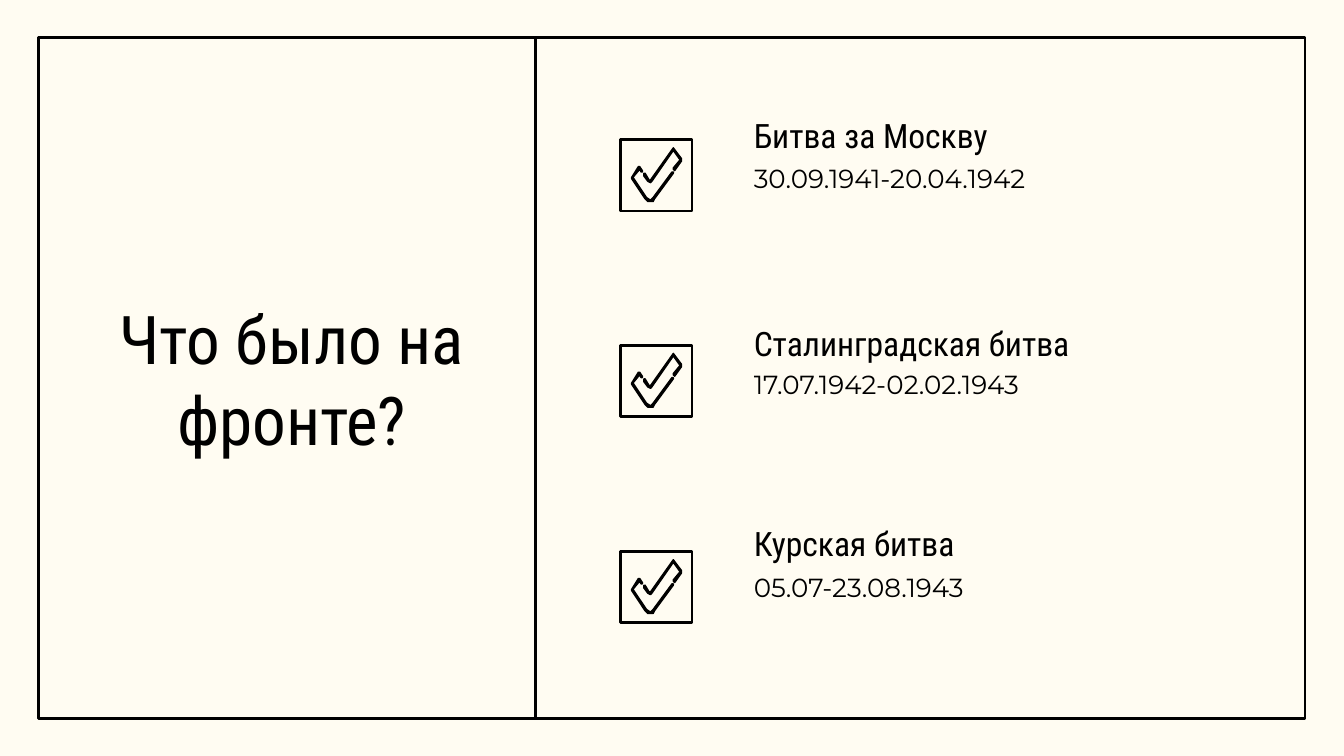
"""Builds a slide that lists three battles beside check boxes."""
from lxml import etree
from pptx import Presentation
from pptx.dml.color import RGBColor
from pptx.enum.shapes import MSO_CONNECTOR, MSO_SHAPE
from pptx.enum.text import MSO_ANCHOR, PP_ALIGN
from pptx.oxml.ns import qn
from pptx.util import Pt

SCALE = 4572
RECTANGLE = MSO_SHAPE.RECTANGLE
STRAIGHT = MSO_CONNECTOR.STRAIGHT
MIDDLE = MSO_ANCHOR.MIDDLE
LEFT, CENTER = PP_ALIGN.LEFT, PP_ALIGN.CENTER
COLORS = {"paper": "FFFCF2", "ink": "000000"}
HEADING_FONT, DATE_FONT = "Roboto Condensed", "Montserrat"
BOX_LEFT, BOX_SIZE = 924, 106
TEXT_LEFT, TEXT_WIDTH = 1102, 664

BATTLES = [
    ("Битва за Москву", "30.09.1941-20.04.1942", 208, 161, 187),
    ("Сталинградская битва", "17.07.1942-02.02.1943", 514, 471, 494),
    ("Курская битва", "05.07-23.08.1943", 821, 768, 796),
]
CHECK_PARTS = [
    [(28, 40), (26, 40), (16, 56), (16, 58), (36, 88), (40, 92), (44, 92),
     (48, 92), (50, 88), (78, 50), (78, 48), (76, 48), (48, 86), (44, 90),
     (38, 86), (18, 56), (28, 44), (30, 48), (32, 48), (32, 46)],
    [(78, 12), (44, 60), (42, 60), (36, 50), (34, 50), (34, 54), (40, 62),
     (44, 64), (46, 62), (78, 16), (88, 30), (78, 42), (78, 44), (80, 46),
     (90, 32), (90, 28)],
]


def px(length):
    """Turn px into EMU."""
    return length * SCALE


def color(name):
    """Look up a colour by name."""
    return RGBColor.from_string(COLORS[name])


def write(box, text, *, font, size, align=LEFT):
    """Write one formatted paragraph into a box."""
    para = box.text_frame.paragraphs[0]
    para.alignment = align
    span = para.add_run()
    span.text = text
    span.font.name = font
    span.font.size = Pt(size)
    span.font.color.rgb = color("ink")


class Sketch:
    """Holds the line style and the current slide."""

    def __init__(self, page, weight=1.5):
        self.page = page
        self.weight = weight
        page.background.fill.solid()
        page.background.fill.fore_color.rgb = color("paper")

    def outline(self, item, weight):
        item.line.color.rgb = color("ink")
        item.line.width = Pt(weight)

    def frame(self, left, top, width, height):
        shape = self.page.shapes.add_shape(
            RECTANGLE, px(left), px(top), px(width), px(height))
        shape.shadow.inherit = False
        shape.fill.background()
        self.outline(shape, self.weight)

    def divider(self, x, top, bottom):
        line = self.page.shapes.add_connector(
            STRAIGHT, px(x), px(top), px(x), px(bottom))
        etree.SubElement(line._element.spPr, qn("a:effectLst"))
        self.outline(line, self.weight)

    def text(self, left, top, width, height, words, **style):
        box = self.page.shapes.add_textbox(
            px(left), px(top), px(width), px(height))
        frame = box.text_frame
        frame.word_wrap = True
        frame.vertical_anchor = MIDDLE
        frame.margin_left = frame.margin_right = px(20)
        frame.margin_top = frame.margin_bottom = px(20)
        write(box, words, **style)

    def check(self, left, top):
        for part in CHECK_PARTS:
            points = [(left + x, top + y) for x, y in part]
            builder = self.page.shapes.build_freeform(*points[0], scale=SCALE)
            builder.add_line_segments(points[1:], close=True)
            shape = builder.convert_to_shape()
            shape.shadow.inherit = False
            shape.fill.solid()
            shape.fill.fore_color.rgb = color("ink")
            self.outline(shape, 0.75)


def main():
    """Build and save the deck."""
    deck = Presentation()
    deck.slide_width, deck.slide_height = px(2000), px(1125)
    sketch = Sketch(deck.slides.add_slide(deck.slide_layouts[6]))
    sketch.frame(57, 56, 1885, 1013)
    sketch.divider(797, 56, 1068)
    sketch.text(156, 241, 556, 644, "Что было на фронте?",
                font=HEADING_FONT, size=36, align=CENTER)
    for name, dates, box_top, name_top, dates_top in BATTLES:
        sketch.text(TEXT_LEFT, name_top, TEXT_WIDTH, 80, name,
                    font=HEADING_FONT, size=18)
        sketch.text(TEXT_LEFT, dates_top, TEXT_WIDTH, 156, dates,
                    font=DATE_FONT, size=14)
        sketch.frame(BOX_LEFT, box_top, BOX_SIZE, BOX_SIZE)
        sketch.check(BOX_LEFT, box_top)
    deck.save("out.pptx")


if __name__ == "__main__":
    main()
